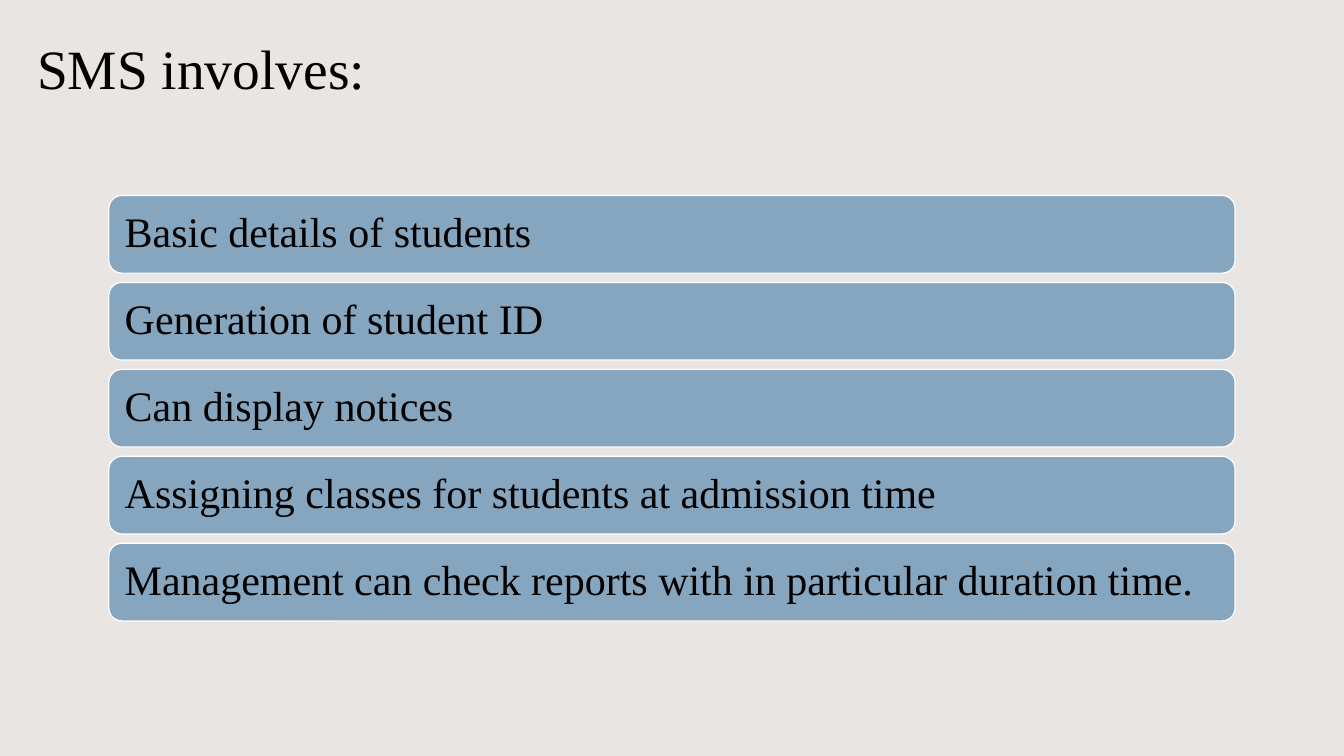
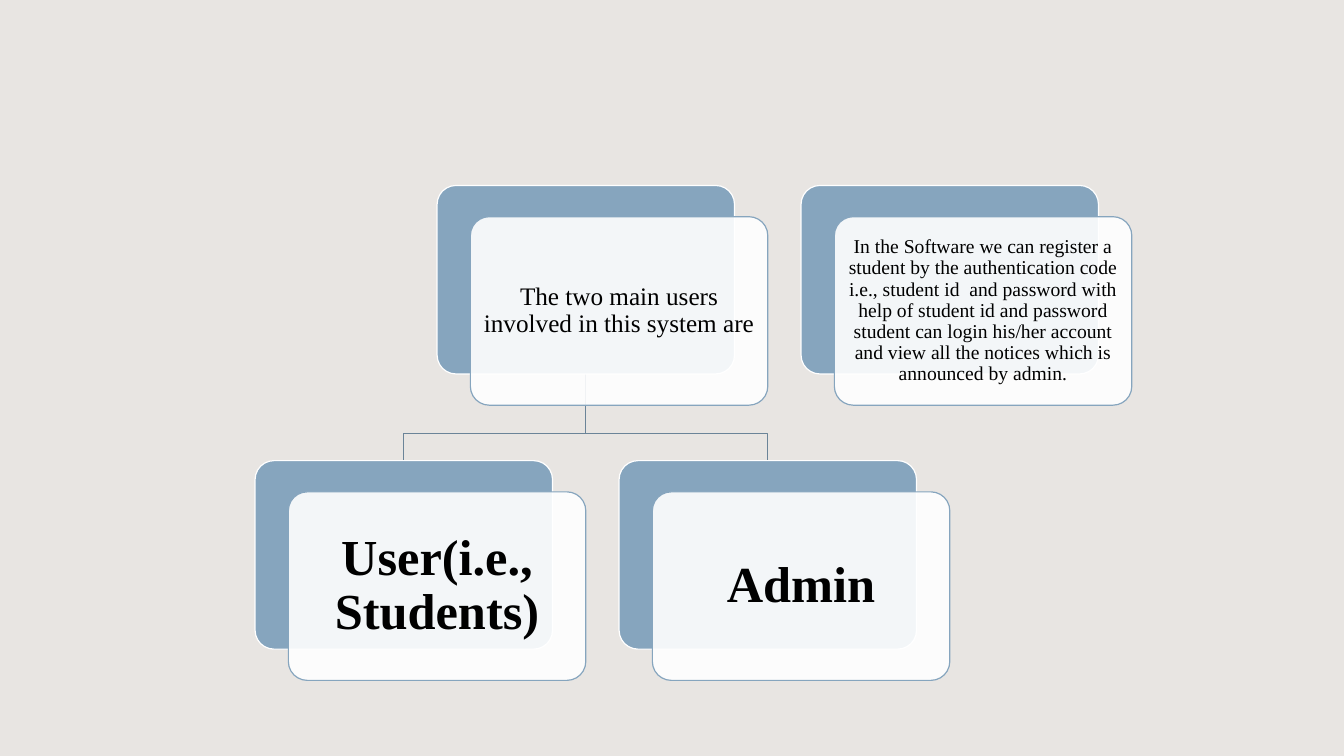
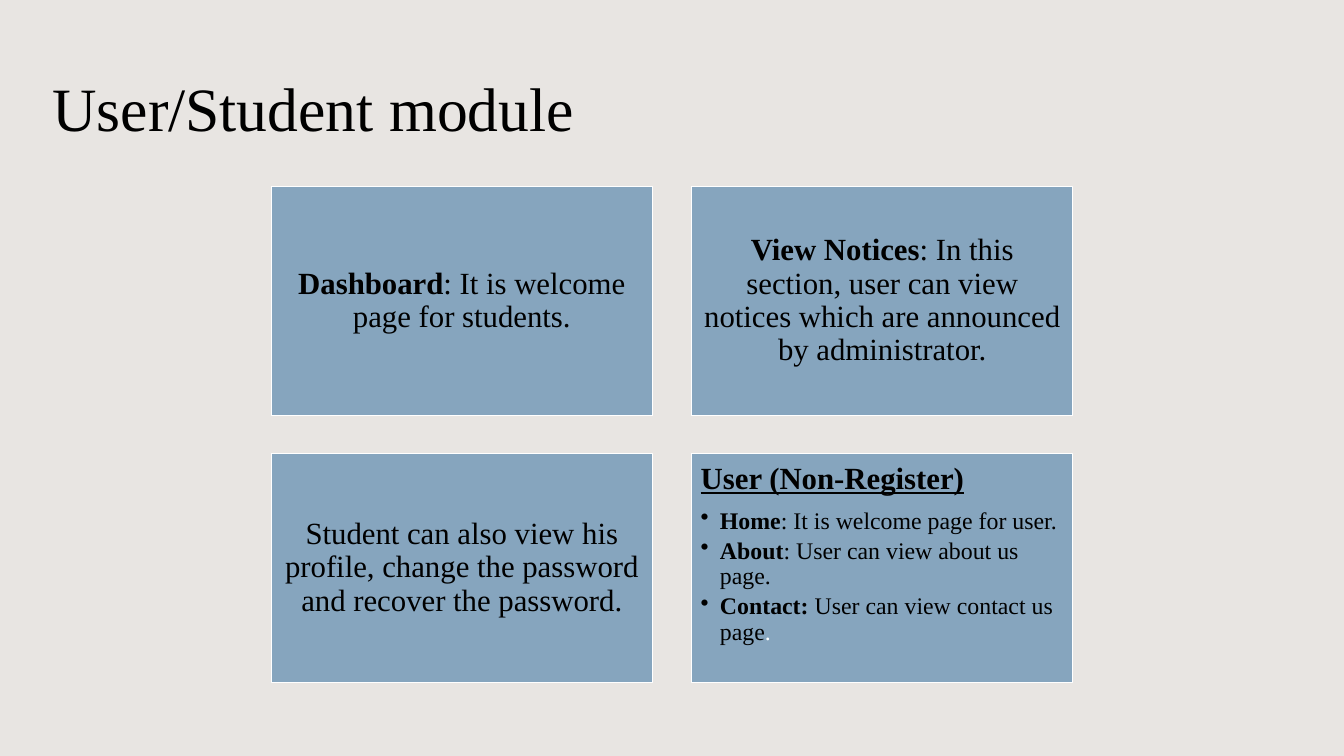
from lxml.etree import SubElement
from pptx import Presentation
from pptx.dml.color import RGBColor
from pptx.enum.shapes import MSO_SHAPE
from pptx.enum.text import MSO_ANCHOR, PP_ALIGN
from pptx.oxml.ns import qn
from pptx.util import Inches, Pt

BACKGROUND = RGBColor(0xE8, 0xE5, 0xE2)
BLUE = RGBColor(0x86, 0xA5, 0xBE)
LINK = RGBColor(0x6B, 0x84, 0x98)
WHITE = RGBColor(0xFF, 0xFF, 0xFF)
BLACK = RGBColor(0, 0, 0)
FONT = "Times New Roman"
LINE_WIDTH = Pt(0.85)

CARD_W, CARD_H = 2.95, 1.87
CARD_DX, CARD_DY = 0.33, 0.31


def new_slide(prs):
    return prs.slides.add_slide(prs.slide_layouts[6])


def add_box(slide, kind, x, y, w, h, fill=BLUE, line=WHITE):
    s = slide.shapes.add_shape(kind, Inches(x), Inches(y), Inches(w), Inches(h))
    s.shadow.inherit = False
    s.fill.solid()
    s.fill.fore_color.rgb = fill
    s.line.color.rgb = line
    s.line.width = LINE_WIDTH
    return s


def set_frame(s, inset, anchor=MSO_ANCHOR.MIDDLE):
    tf = s.text_frame
    tf.word_wrap = True
    tf.vertical_anchor = anchor
    tf.margin_left = tf.margin_right = Inches(inset)
    tf.margin_top = tf.margin_bottom = Inches(inset)
    return tf


def write(p, runs, size, align=PP_ALIGN.LEFT):
    """Fill a paragraph from (text, bold) pairs."""
    p.alignment = align
    p.line_spacing = 0.9
    for text, bold in runs:
        r = p.add_run()
        r.text = text
        r.font.name = FONT
        r.font.size = Pt(size)
        r.font.bold = bold
        r.font.color.rgb = BLACK


def add_title(slide, text, x, y, h, size):
    s = slide.shapes.add_textbox(Inches(x), Inches(y), Inches(11.17), Inches(h))
    tf = s.text_frame
    tf.word_wrap = True
    tf.vertical_anchor = MSO_ANCHOR.BOTTOM
    write(tf.paragraphs[0], [(text, False)], size)


def add_bars(slide, items, x, y, w, h, pitch):
    for i, text in enumerate(items):
        s = add_box(slide, MSO_SHAPE.ROUNDED_RECTANGLE, x, y + i * pitch, w, h)
        write(set_frame(s, 0.12).paragraphs[0], [(text, False)], 30)


def add_card(slide, x, y, text, size, inset, bold):
    """Blue plate with a translucent white text card offset over it."""
    plate = add_box(slide, MSO_SHAPE.ROUNDED_RECTANGLE, x, y, CARD_W, CARD_H)
    card = add_box(slide, MSO_SHAPE.ROUNDED_RECTANGLE, x + CARD_DX, y + CARD_DY,
                   CARD_W, CARD_H, WHITE, BLUE)
    for s in (plate, card):
        s.adjustments[0] = 0.1
    color = card.fill._xPr.find(qn("a:solidFill"))[0]
    SubElement(color, qn("a:alpha")).set("val", "90000")
    write(set_frame(card, inset).paragraphs[0], [(text, bold)], size, PP_ALIGN.CENTER)


def add_link(slide, parent, child):
    """Right-angled line from the foot of one plate to the top of another."""
    x1, y1 = parent[0] + CARD_W / 2, parent[1] + CARD_H
    x2, y2 = child[0] + CARD_W / 2, child[1]
    bend = y2 - 0.27
    fb = slide.shapes.build_freeform(Inches(x1), Inches(y1))
    fb.add_line_segments([(Inches(x), Inches(y)) for x, y in
                          ((x1, bend), (x2, bend), (x2, y2))], close=False)
    s = fb.convert_to_shape()
    s.shadow.inherit = False
    s.fill.background()
    s.line.color.rgb = LINK
    s.line.width = LINE_WIDTH


def add_bullet(p):
    pPr = p._p.get_or_add_pPr()
    pPr.set("marL", str(Inches(0.19)))
    pPr.set("indent", str(-Inches(0.19)))
    SubElement(pPr, qn("a:buChar")).set("char", "•")


def add_bullet_panel(s, heading, items):
    tf = set_frame(s, 0.09, MSO_ANCHOR.TOP)
    p = tf.paragraphs[0]
    write(p, [(heading, True)], 22)
    p.runs[0].font.underline = True
    p.space_after = Pt(9)
    for runs in items:
        p = tf.add_paragraph()
        write(p, runs, 17)
        p.space_after = Pt(3)
        add_bullet(p)
    return tf


def build_involves(prs):
    slide = new_slide(prs)
    add_title(slide, "SMS involves:", 0.27, 0.37, 0.69, 39.6)
    add_bars(slide, [
        "Basic details of students",
        "Generation of student ID",
        "Can display notices",
        "Assigning classes for students at admission time",
        "Management can check reports with in particular duration time.",
    ], 1.08, 1.94, 11.17, 0.77, 0.8625)


def build_users(prs):
    slide = new_slide(prs)
    left, top, pitch_x, pitch_y = 2.53, 1.84, 3.61, 2.73
    main = (left + pitch_x / 2, top)
    note = (main[0] + pitch_x, top)
    user = (left, top + pitch_y)
    admin = (left + pitch_x, top + pitch_y)
    for child in (admin, user):
        add_link(slide, main, child)
    add_card(slide, *main, "The two main users involved in this system are", 18, 0.07, False)
    add_card(slide, *user, "User(i.e., Students)", 36, 0.15, True)
    add_card(slide, *admin, "Admin", 36, 0.15, True)
    add_card(slide, *note,
             "In the Software we can register a student by the authentication code "
             "i.e., student id  and password with help of student id and password "
             "student can login his/her account and view all the notices which is "
             "announced by admin.", 14, 0.06, False)


def build_student_module(prs):
    slide = new_slide(prs)
    add_title(slide, "User/Student module", 0.42, 0.27, 1.22, 44)
    panels = [add_box(slide, MSO_SHAPE.RECTANGLE, 2.69 + col * 4.17, 1.85 + row * 2.65,
                      3.78, 2.27) for row in range(2) for col in range(2)]
    texts = [
        [("Dashboard", True), (": It is welcome page for students.", False)],
        [("View Notices", True), (": In this section, user can view notices which are "
                                  "announced by administrator.", False)],
        [("Student can also view his profile, change the password and recover "
          "the password.", False)],
    ]
    for s, runs in zip(panels, texts):
        write(set_frame(s, 0.09).paragraphs[0], runs, 22, PP_ALIGN.CENTER)
    tf = add_bullet_panel(panels[-1], "User (Non-Register)", [
        [("Home", True), (": It is welcome page for user.", False)],
        [("About", True), (": User can view about us page.", False)],
        [("Contact: ", True), ("User can view contact us page", False), (".", False)],
    ])
    tf.paragraphs[-1].runs[-1].font.color.rgb = WHITE


def main():
    prs = Presentation()
    prs.slide_width, prs.slide_height = Inches(13.33), Inches(7.5)
    fill = prs.slide_master.background.fill
    fill.solid()
    fill.fore_color.rgb = BACKGROUND
    build_involves(prs)
    build_users(prs)
    build_student_module(prs)
    prs.save("out.pptx")


if __name__ == "__main__":
    main()
